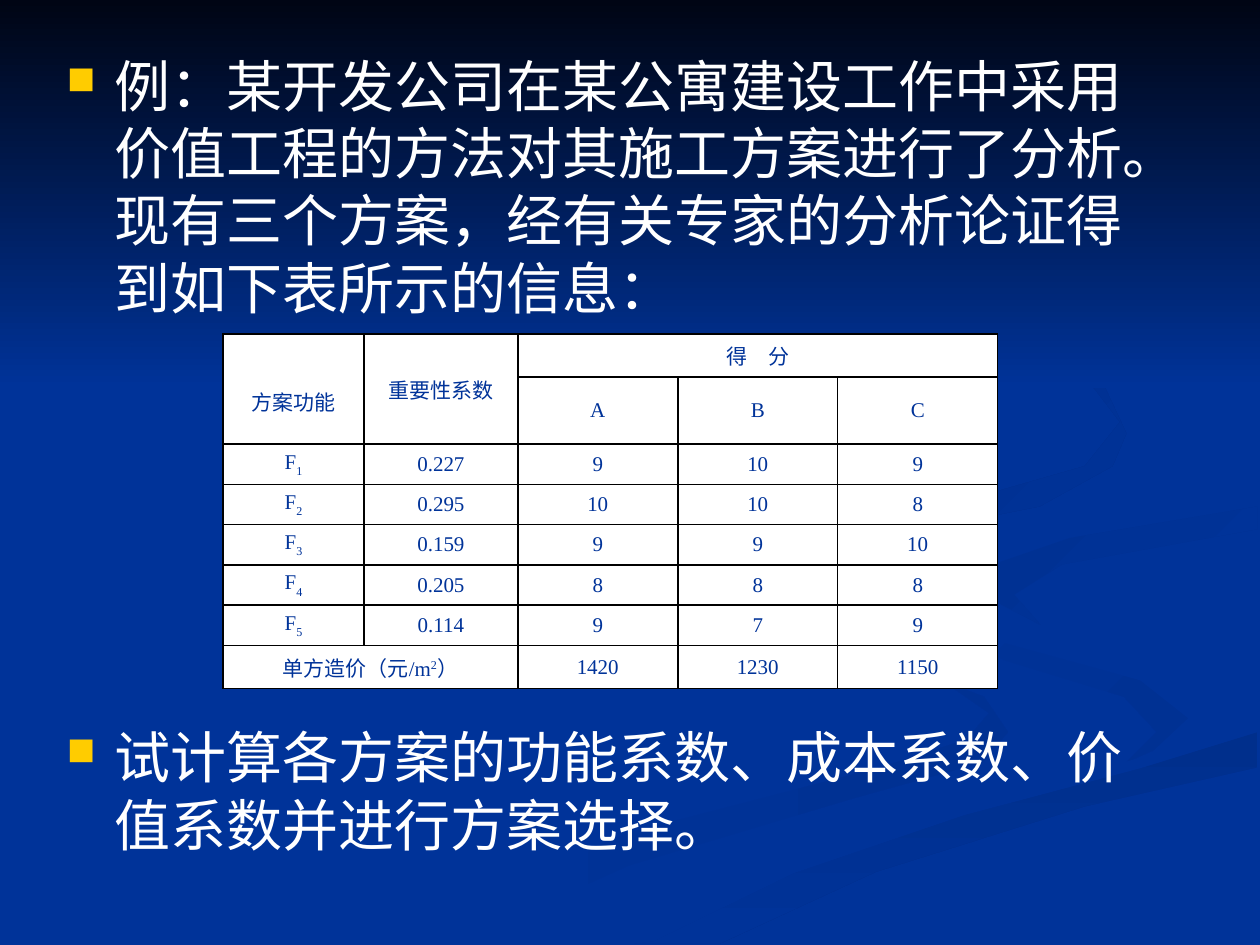
"""Build a slide with a value engineering example and its score table."""
from lxml.etree import SubElement
from pptx import Presentation
from pptx.dml.color import RGBColor
from pptx.enum.shapes import MSO_SHAPE
from pptx.enum.text import MSO_ANCHOR, PP_ALIGN
from pptx.oxml.ns import qn
from pptx.util import Inches, Pt

BLUE = RGBColor(0x00, 0x33, 0x99)
NIGHT = RGBColor(0x00, 0x05, 0x14)
DIM = RGBColor(0x00, 0x31, 0x93)
DEEP = RGBColor(0x00, 0x2F, 0x8C)
WHITE = RGBColor(0xFF, 0xFF, 0xFF)
FONT = "Times New Roman"


def put(para, text, size=12, color=BLUE, align=PP_ALIGN.CENTER, base=0):
    para.alignment = align
    run = para.add_run()
    run.text = text
    run.font.size = Pt(size)
    run.font.name = FONT
    run.font.color.rgb = color
    if base:
        run.font._element.set("baseline", str(base))


def paint(shape, first, last, angle):
    shape.shadow.inherit = False
    shape.line.fill.background()
    if first == last:
        shape.fill.solid()
        shape.fill.fore_color.rgb = first
        return
    shape.fill.gradient()
    shape.fill.gradient_angle = (360 - angle) % 360
    for stop, color in zip(shape.fill.gradient_stops, (first, last)):
        stop.color.rgb = color


deck = Presentation()
deck.slide_width = Inches(10)
deck.slide_height = Inches(7.5)
slide = deck.slides.add_slide(deck.slide_layouts[6])
slide.background.fill.solid()
slide.background.fill.fore_color.rgb = BLUE

edge = [(519, 747), (630, 693), (765, 647), (904, 610), (998, 581)]
swirls = [
    (BLUE, DIM, 0, [
        (781, 553), (715, 528), (614, 496), (575, 459), (572, 476),
        (631, 505), (752, 543), (785, 566), (767, 587), (699, 609),
        (499, 661), (300, 749), (361, 749), (499, 687), (676, 634),
        (780, 605), (800, 581)]),
    (BLUE, DIM, 45, [
        (943, 570), (905, 540), (792, 509), (733, 483), (724, 464),
        (733, 488), (797, 524), (892, 553), (918, 581), (894, 605),
        (937, 586)]),
    (DEEP, BLUE, 90, edge + [
        (998, 609), (861, 640), (695, 692), (571, 749), (503, 749)]),
    (BLUE, BLUE, 0, edge + [
        (999, 538), (866, 509), (794, 480), (786, 453), (850, 427),
        (999, 402), (999, 387), (788, 422), (725, 464), (759, 498),
        (905, 540), (943, 570), (911, 600), (743, 643), (573, 703),
        (477, 749), (503, 749)]),
    (DIM, BLUE, 45, [
        (781, 460), (791, 478), (826, 496), (805, 472), (843, 448),
        (998, 420), (998, 402), (849, 427), (791, 447)]),
    (DEEP, BLUE, 45, [
        (683, 430), (825, 402), (883, 370), (894, 344), (873, 299),
        (821, 261), (762, 233), (846, 279), (889, 335), (861, 370),
        (763, 398), (625, 426), (577, 462), (590, 484), (622, 500),
        (593, 470), (624, 444)]),
]
for first, last, angle, dots in swirls:
    pen = slide.shapes.build_freeform(*dots[0], scale=Inches(0.01))
    pen.add_line_segments(dots[1:], close=True)
    paint(pen.convert_to_shape(), first, last, angle)

sky = slide.shapes.add_shape(MSO_SHAPE.RECTANGLE, 0, 0, Inches(10), Inches(3.08))
paint(sky, NIGHT, BLUE, 90)

rows = [
    ["方案功能", "重要性系数", "得　分", "", ""],
    ["", "", "A", "B", "C"],
    ["F|1", "0.227", "9", "10", "9"],
    ["F|2", "0.295", "10", "10", "8"],
    ["F|3", "0.159", "9", "9", "10"],
    ["F|4", "0.205", "8", "8", "8"],
    ["F|5", "0.114", "9", "7", "9"],
    ["单方造价（元/m|2|）", "", "1420", "1230", "1150"],
]
widths = [1.12, 1.22] + [1.27] * 3
heights = [0.34, 0.53] + [0.32] * 5 + [0.34]
grid = slide.shapes.add_table(
    len(rows), len(widths), Inches(1.77), Inches(2.65),
    Inches(sum(widths)), Inches(sum(heights))).table
grid.first_row = grid.horz_banding = False
for col, width in zip(grid.columns, widths):
    col.width = Inches(width)
for row, height in zip(grid.rows, heights):
    row.height = Inches(height)
for top, left, low, right in [(0, 0, 1, 0), (0, 1, 1, 1), (0, 2, 0, 4), (7, 0, 7, 1)]:
    grid.cell(top, left).merge(grid.cell(low, right))
for y, row in enumerate(rows):
    for x, text in enumerate(row):
        cell = grid.cell(y, x)
        cell.vertical_anchor = MSO_ANCHOR.MIDDLE
        props = cell._tc.get_or_add_tcPr()
        for side in ("a:lnL", "a:lnR", "a:lnT", "a:lnB"):
            line = SubElement(props, qn(side), w=str(Pt(1)))
            fill = SubElement(line, qn("a:solidFill"))
            SubElement(fill, qn("a:srgbClr"), val="000000")
        cell.fill.solid()
        cell.fill.fore_color.rgb = WHITE
        shift = -30000 if text.startswith("F") else 30000
        for i, part in enumerate(text.split("|") if text else []):
            put(cell.text_frame.paragraphs[0], part, base=shift * (i % 2))
grid.cell(0, 0).margin_top = Inches(0.24)

box = slide.shapes.add_textbox(Inches(0.43), Inches(0.36), Inches(9), Inches(6.61))
frame = box.text_frame
frame.word_wrap = True
points = [
    "例：某开发公司在某公寓建设工作中采用价值工程的方法对其施工方案进行了分析。"
    "现有三个方案，经有关专家的分析论证得到如下表所示的信息：",
    "试计算各方案的功能系数、成本系数、价值系数并进行方案选择。",
]
for i, text in enumerate(points):
    para = frame.add_paragraph() if i else frame.paragraphs[0]
    props = para._p.get_or_add_pPr()
    props.set("marL", str(Inches(0.38)))
    props.set("indent", str(Inches(-0.38)))
    tint = SubElement(props, qn("a:buClr"))
    SubElement(tint, qn("a:srgbClr"), val="FFCC00")
    SubElement(props, qn("a:buSzPct"), val="70000")
    SubElement(props, qn("a:buChar"), char="■")
    if i:
        para.space_before = Pt(230)
    put(para, text, size=32, color=WHITE, align=PP_ALIGN.LEFT)

deck.save("out.pptx")
